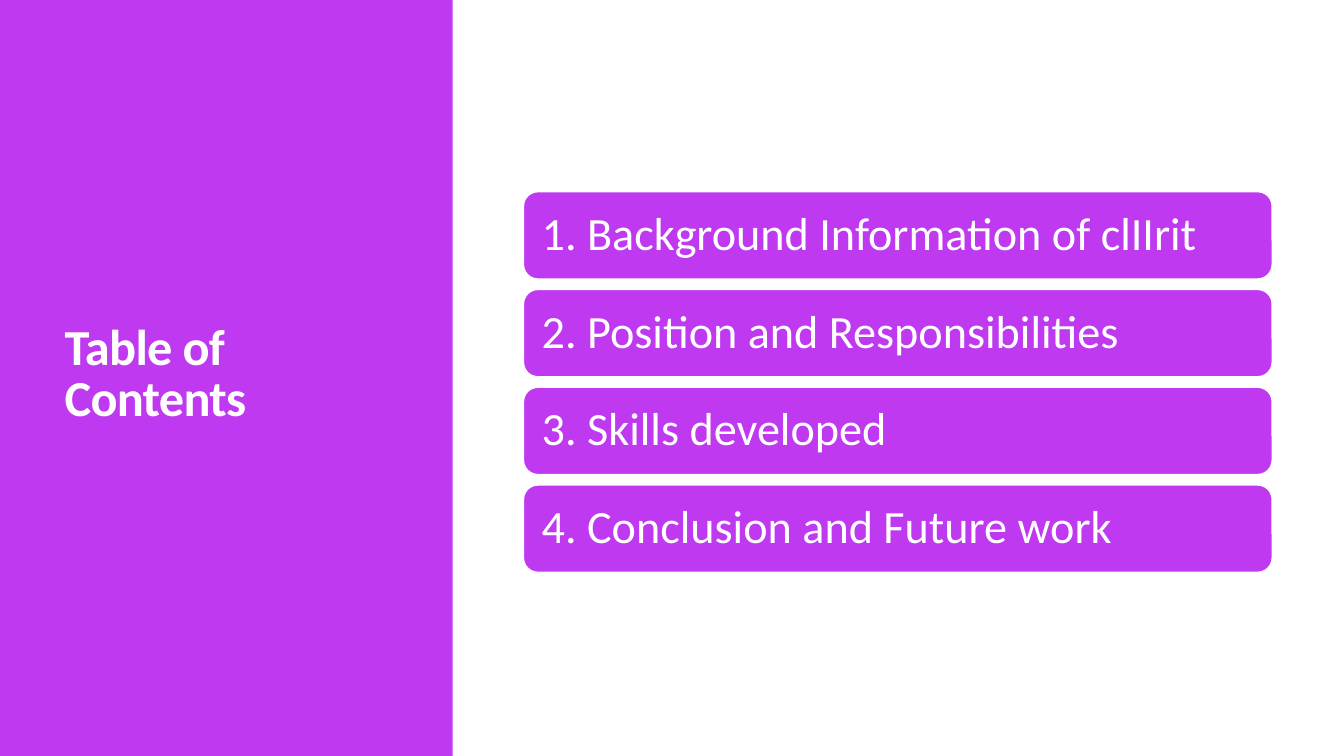
"""Build a table of contents slide with a coloured side panel."""
from dataclasses import dataclass
from typing import Any

from pptx import Presentation
from pptx.dml.color import RGBColor
from pptx.enum.shapes import MSO_SHAPE as Preset
from pptx.enum.text import MSO_ANCHOR as Anchor, MSO_AUTO_SIZE as AutoSize, PP_ALIGN as Align
from pptx.oxml.ns import qn
from pptx.shapes.autoshape import Shape
from pptx.slide import Slide
from pptx.text.text import TextFrame
from pptx.util import Inches, Pt


@dataclass(frozen=True)
class Theme:
    purple: RGBColor = RGBColor(0xBF, 0x39, 0xF0)
    white: RGBColor = RGBColor(0xFF, 0xFF, 0xFF)
    font: str = "Calibri"
    title_size: float = 36
    topic_size: float = 33
    outline: float = 1.25


@dataclass(frozen=True)
class Box:
    left: float
    top: float
    width: float
    height: float

    def lengths(self) -> list[int]:
        return [Inches(side) for side in (self.left, self.top, self.width, self.height)]


THEME = Theme()
PAGE_WIDTH, PAGE_HEIGHT = 13.33, 7.5
TITLE_BOX = Box(0.54, 0.57, 3.37, 6.31)
PANELS = (Box(0, 0, 4.43, PAGE_HEIGHT), Box(4.42, 0, 0.07, PAGE_HEIGHT))
FIRST_TOPIC = Box(5.19, 1.9, 7.43, 0.87)
TOPIC_STEP = 0.97
TOPIC_INSET = 0.14
TOPICS = (
    "Background Information of clIIrit",
    "Position and Responsibilities",
    "Skills developed",
    "Conclusion and Future work",
)


def apply_format(target: Any, values: dict[str, Any]) -> None:
    for name, value in values.items():
        setattr(target, name, value)


def write_text(frame: TextFrame, text: str, size: float, bold: bool, spacing: float) -> None:
    apply_format(frame, {
        "word_wrap": True,
        "auto_size": AutoSize.NONE,
        "vertical_anchor": Anchor.MIDDLE,
    })
    para = frame.paragraphs[0]
    apply_format(para, {"alignment": Align.LEFT, "line_spacing": spacing})
    span = para.add_run()
    span.text = text
    apply_format(span.font, {"name": THEME.font, "size": Pt(size), "bold": bold})
    span.font.color.rgb = THEME.white


def add_block(page: Slide, preset: Preset, box: Box) -> Shape:
    block = page.shapes.add_shape(preset, *box.lengths())
    block.shadow.inherit = False
    block.fill.solid()
    block.fill.fore_color.rgb = THEME.purple
    block.line.fill.background()
    return block


def add_title(page: Slide) -> None:
    title = page.shapes.title
    apply_format(title, dict(zip(("left", "top", "width", "height"), TITLE_BOX.lengths())))
    write_text(title.text_frame, "Table of Contents", THEME.title_size, True, 0.85)
    for properties in title.element.iter(qn("a:rPr")):
        properties.set("spc", "-50")
    for panel in PANELS:
        title.element.addprevious(add_block(page, Preset.RECTANGLE, panel).element)


def add_topic(page: Slide, index: int, topic: str) -> None:
    first = FIRST_TOPIC
    box = Box(first.left, first.top + index * TOPIC_STEP, first.width, first.height)
    block = add_block(page, Preset.ROUNDED_RECTANGLE, box)
    block.line.color.rgb = THEME.white
    block.line.width = Pt(THEME.outline)
    sides = ("margin_left", "margin_top", "margin_right", "margin_bottom")
    apply_format(block.text_frame, dict.fromkeys(sides, Inches(TOPIC_INSET)))
    write_text(block.text_frame, f"{index + 1}. {topic}", THEME.topic_size, False, 0.9)


def main() -> None:
    deck = Presentation()
    apply_format(deck, {
        "slide_width": Inches(PAGE_WIDTH),
        "slide_height": Inches(PAGE_HEIGHT),
    })
    page = deck.slides.add_slide(deck.slide_layouts.get_by_name("Title Only"))
    add_title(page)
    for index, topic in enumerate(TOPICS):
        add_topic(page, index, topic)
    deck.save("out.pptx")


if __name__ == "__main__":
    main()
